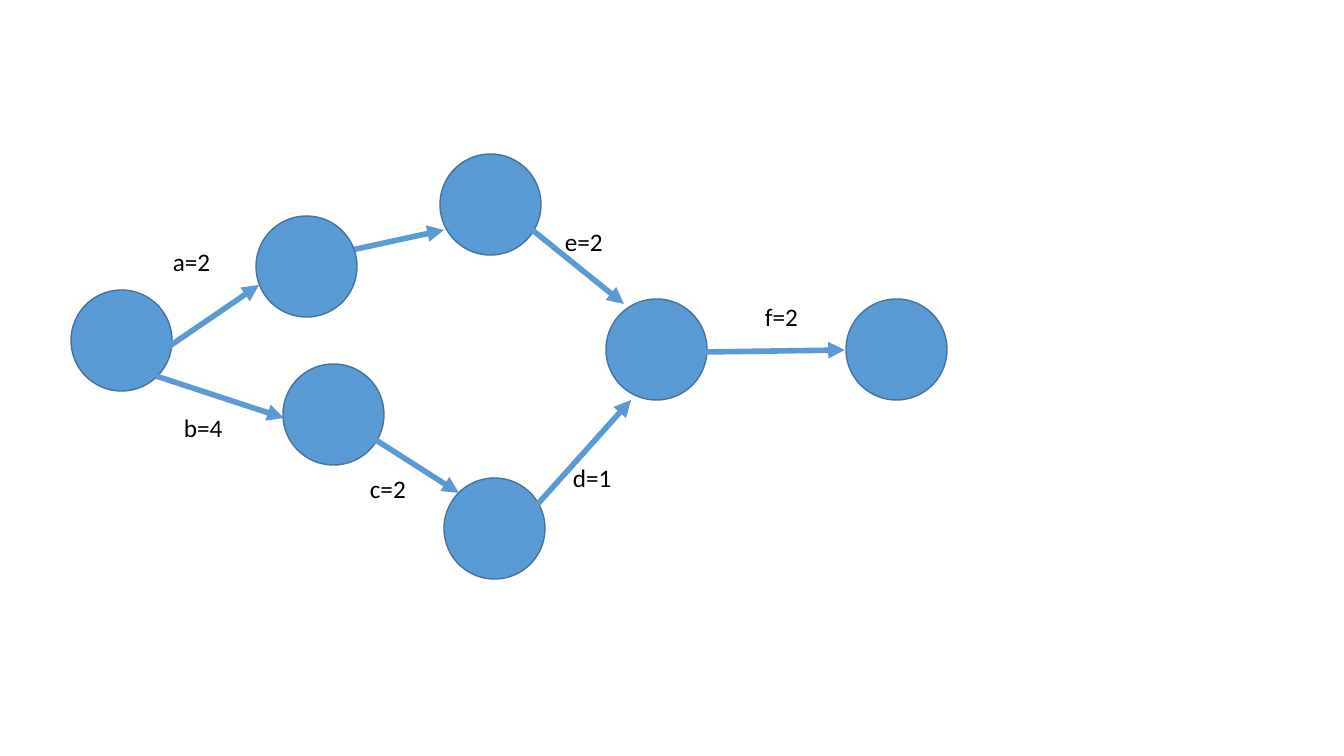
from typing import NamedTuple

from lxml import etree
from pptx import Presentation
from pptx.dml.color import RGBColor
from pptx.enum.shapes import MSO_CONNECTOR, MSO_SHAPE
from pptx.enum.text import MSO_AUTO_SIZE
from pptx.oxml.ns import qn
from pptx.slide import Slide
from pptx.util import Emu, Pt

STRAIGHT = MSO_CONNECTOR.STRAIGHT
OVAL = MSO_SHAPE.OVAL
GROW = MSO_AUTO_SIZE.SHAPE_TO_FIT_TEXT

BLUE = RGBColor(0x5B, 0x9B, 0xD5)
DARK_BLUE = RGBColor(0x43, 0x73, 0x9E)
BLACK = RGBColor(0x00, 0x00, 0x00)

BLANK_LAYOUT = 6
EMU_PER_INCH = 914400
PIXELS_PER_INCH = 100.8
NODE_SIZE = 101
LABEL_WIDTH, LABEL_HEIGHT = 130, 40


class Node(NamedTuple):
    left: int
    top: int


class Activity(NamedTuple):
    start_x: int
    start_y: int
    end_x: int
    end_y: int


class Label(NamedTuple):
    text: str
    left: int
    top: int


NODES = [
    Node(71, 290),
    Node(256, 216),
    Node(440, 154),
    Node(283, 364),
    Node(444, 478),
    Node(606, 299),
    Node(846, 299),
]

UNLABELLED_ACTIVITY = Activity(301, 261, 444, 230)

LABELLED_ACTIVITIES = [
    Activity(139, 367, 259, 285),
    Activity(156, 376, 284, 418),
    Activity(357, 428, 459, 493),
    Activity(536, 506, 631, 400),
    Activity(520, 220, 624, 304),
    Activity(705, 352, 845, 350),
]

LABELS = [
    Label("a=2", 163, 241),
    Label("b=4", 174, 407),
    Label("c=2", 360, 468),
    Label("d=1", 563, 457),
    Label("e=2", 555, 221),
    Label("f=2", 755, 296),
]


def px(pixels: int) -> Emu:
    return Emu(round(pixels * EMU_PER_INCH / PIXELS_PER_INCH))


def draw_node(page: Slide, node: Node) -> None:
    circle = page.shapes.add_shape(
        OVAL, px(node.left), px(node.top), px(NODE_SIZE), px(NODE_SIZE)
    )
    circle.shadow.inherit = False
    circle.fill.solid()
    circle.fill.fore_color.rgb = BLUE
    circle.line.color.rgb = DARK_BLUE
    circle.line.width = Pt(1)


def draw_activity(page: Slide, activity: Activity) -> None:
    arrow = page.shapes.add_connector(STRAIGHT, *map(px, activity))
    arrow.line.color.rgb = BLUE
    arrow.line.width = Pt(4)
    outline = arrow.line._get_or_add_ln()
    etree.SubElement(outline, qn("a:tailEnd"), type="triangle")
    etree.SubElement(arrow._element.spPr, qn("a:effectLst"))


def draw_label(page: Slide, label: Label) -> None:
    box = page.shapes.add_textbox(
        px(label.left), px(label.top), px(LABEL_WIDTH), px(LABEL_HEIGHT)
    )
    box.text_frame.word_wrap = True
    box.text_frame.auto_size = GROW
    para = box.text_frame.paragraphs[0]
    span = para.add_run()
    span.text = label.text
    span.font.name = "Calibri"
    span.font.size = Pt(18)
    span.font.color.rgb = BLACK


deck = Presentation()
deck.slide_width = px(1344)
deck.slide_height = px(756)
page = deck.slides.add_slide(deck.slide_layouts[BLANK_LAYOUT])

draw_activity(page, UNLABELLED_ACTIVITY)
for node in NODES:
    draw_node(page, node)
for activity in LABELLED_ACTIVITIES:
    draw_activity(page, activity)
for label in LABELS:
    draw_label(page, label)

deck.save("out.pptx")
